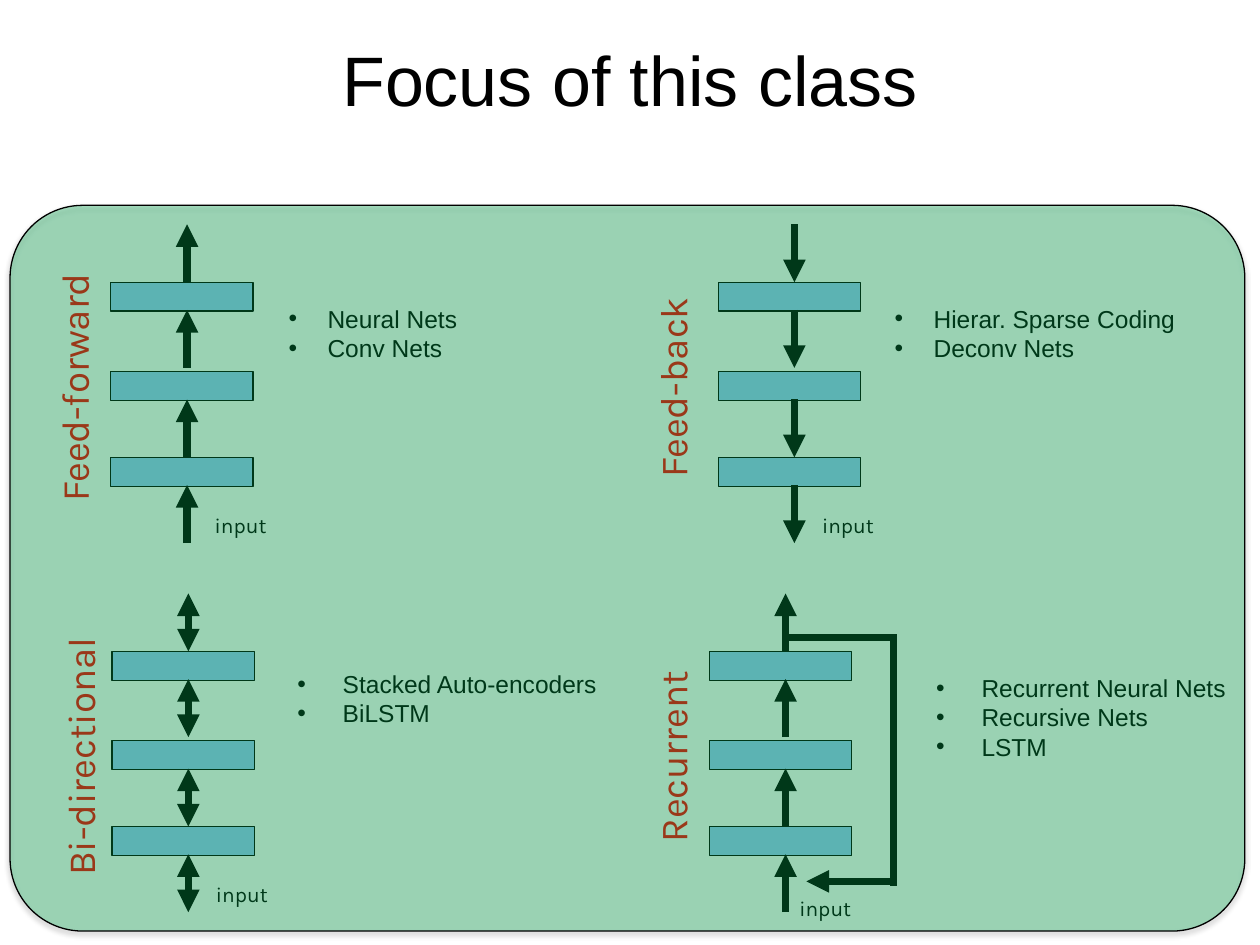
import pptx
import pptx.util
import pptx.dml.color
import pptx.enum.shapes
import pptx.enum.text
import pptx.oxml
import pptx.oxml.ns

INK = {"black": "000000", "blue": "99CCFF", "red": "FF0000", "green": "00B050"}
FORM = pptx.enum.shapes.MSO_SHAPE
ALIGN = pptx.enum.text.PP_ALIGN
ANCHOR = pptx.enum.text.MSO_ANCHOR
COLS, ROWS = 100, 75


def tint(name):
    return pptx.dml.color.RGBColor.from_string(INK[name])


def node(base, tag, **attrs):
    item = pptx.oxml.parse_xml(f"<a:{tag} {pptx.oxml.ns.nsdecls('a')}/>")
    for key, value in attrs.items():
        item.set(key, str(value))
    base.append(item)
    return item


def write(frame, lines, size=14, face="Arial", ink="black", align=ALIGN.LEFT, hang=0):
    for i, line in enumerate(lines):
        para = frame.paragraphs[0] if i == 0 else frame.add_paragraph()
        para.alignment = align
        if hang:
            props = para._p.get_or_add_pPr()
            step = pptx.util.Inches(hang)
            props.set("marL", str(step))
            props.set("indent", str(-step))
            node(props, "buFont", typeface="Arial")
            node(props, "buChar", char="•")
        run = para.add_run()
        run.text = line
        run.font.size = pptx.util.Pt(size)
        run.font.name = face
        run.font.color.rgb = tint(ink)


class Deck:
    def __init__(self):
        self.show = pptx.Presentation()
        self.show.slide_width = pptx.util.Inches(10)
        self.show.slide_height = pptx.util.Inches(7.5)
        self.slide = self.show.slides.add_slide(self.show.slide_layouts[6])
        self.thin = pptx.util.Pt(0.75)
        self.thick = pptx.util.Pt(4.31)

    def grid(self, *spots):
        units = (self.show.slide_width / COLS, self.show.slide_height / ROWS)
        return [round(spot * units[i % 2]) for i, spot in enumerate(spots)]

    def shape(self, form, spot, ink):
        item = self.slide.shapes.add_shape(form, *self.grid(*spot))
        item.shadow.inherit = False
        item.fill.solid()
        item.fill.fore_color.rgb = tint(ink)
        item.line.color.rgb = tint("black")
        item.line.width = self.thin
        return item

    def panel(self, spot):
        item = self.shape(FORM.ROUNDED_RECTANGLE, spot, "green")
        item.adjustments[0] = 0.1
        props = item._element.spPr
        fill = props.find(pptx.oxml.ns.qn("a:solidFill"))
        node(fill[0], "alpha", val=32000)
        glow = node(props.find(pptx.oxml.ns.qn("a:effectLst")), "outerShdw",
                    blurRad=pptx.util.Pt(3.1), dist=pptx.util.Pt(1.8),
                    dir=5400000, rotWithShape=0)
        node(node(glow, "srgbClr", val=INK["black"]), "alpha", val=35000)

    def line(self, start, end, tips=()):
        kind = pptx.enum.shapes.MSO_CONNECTOR.STRAIGHT
        item = self.slide.shapes.add_connector(kind, *self.grid(*start, *end))
        item.line.color.rgb = tint("black")
        item.line.width = self.thick
        for tip in tips:
            node(item.line._get_or_add_ln(), tip, type="triangle")
        node(item._element.spPr, "effectLst")

    def text(self, spot, lines, pad=(0.09, 0.06, 0.09, 0.04), turn=0,
             anchor=ANCHOR.TOP, **style):
        box = self.slide.shapes.add_textbox(*self.grid(*spot))
        box.rotation = turn
        frame = box.text_frame
        frame.word_wrap = True
        frame.vertical_anchor = anchor
        (frame.margin_left, frame.margin_top,
         frame.margin_right, frame.margin_bottom) = map(pptx.util.Inches, pad)
        write(frame, lines, **style)

    def stack(self, left, top, flow):
        for drop in (0, 7.1, 13.9):
            self.shape(FORM.RECTANGLE, (left, top + drop, 11.3, 2.3), "blue")
        mid = left + 6.05
        tips = ("headEnd", "tailEnd") if flow == "both" else ("tailEnd",)
        for high, low in ((-4.6, 0), (2.2, 6.8), (9.3, 13.9), (16.1, 20.7)):
            ends = [(mid, top + low), (mid, top + high)]
            if flow == "down":
                ends.reverse()
            self.line(*ends, tips)

    def net(self, name, left, top, flow, side, label, notes, area, hang):
        self.stack(left, top, flow)
        self.text((*label, 6.8, 3.4), ["input"], size=12, face="Karla",
                  align=ALIGN.CENTER)
        self.text((side, top + 6.2, 22.7, 4.3), [name], turn=270, size=22,
                  face="Karla", ink="red", align=ALIGN.CENTER,
                  pad=(0.09, 0.07, 0.09, 0.04))
        self.text(area, notes, hang=hang)


NETS = [
    ("Feed-forward", 8.8, 22.4, "up", -5.9, (15.7, 40.1),
     ["Neural Nets", "Conv Nets"], (22, 23.5, 16.3, 6), 0.31),
    ("Feed-back", 57, 22.4, "down", 41.6, (63.9, 40.1),
     ["Hierar. Sparse Coding", "Deconv Nets"], (70.1, 23.5, 28, 6), 0.31),
    ("Bi-directional", 8.9, 51.7, "both", -5.4, (15.8, 69.4),
     ["Stacked Auto-encoders", "BiLSTM"], (22.7, 52.5, 26.1, 11.1), 0.36),
    ("Recurrent", 56.3, 51.7, "up", 41.6, (62.1, 70.5),
     ["Recurrent Neural Nets", "Recursive Nets", "LSTM"],
     (73.4, 52.8, 26, 8.5), 0.36),
]


def main():
    deck = Deck()
    for net in NETS:
        deck.net(*net)
    deck.line((70.9, 70.3), (70.9, 50.3))
    deck.line((62.1, 50.6), (71.1, 50.6))
    deck.line((70.8, 69.95), (64, 69.95), ("tailEnd",))
    deck.text((0, 2.5, 100, 7.5), ["Focus of this class"], size=40,
              align=ALIGN.CENTER, anchor=ANCHOR.MIDDLE, pad=(0.1, 0.05, 0.1, 0.05))
    deck.panel((0.8, 16.3, 98, 57.6))
    deck.show.save("out.pptx")


if __name__ == "__main__":
    main()
